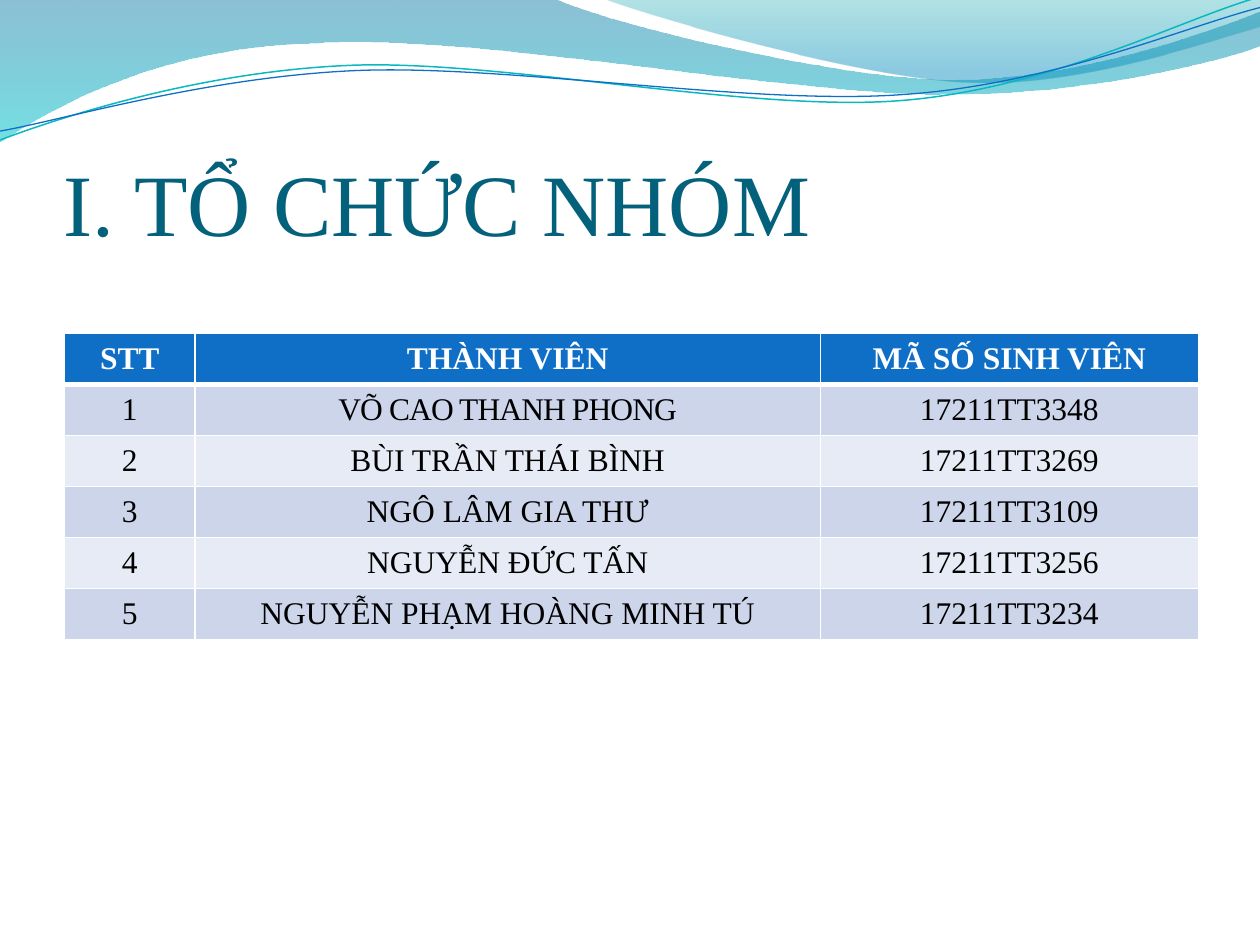
import lxml.etree
import pptx
import pptx.dml.color
import pptx.enum.text
import pptx.oxml.ns
import pptx.util

Pt = pptx.util.Pt
qn = pptx.oxml.ns.qn

FONT = "Times New Roman"

# Each outline is a start point and its steps: one point makes a straight
# line, three points make a Bézier curve.
WIDE_WAVE = (0, 0), [
    [(317, -0.7)],
    [(343, 12.2), (478, 45.4), (546, 45.4)],
    [(614, 45.4), (690, 18.7), (720, 6.5)],
    [(720.7, 25.9)],
    [(708, 31.7), (626, 54.7), (537, 54)],
    [(448, 54), (275, 20.2), (185, 24.5)],
    [(93, 25.9), (33, 59.8), (-0.7, 81.4)],
    [(0, 0)],
]
RIGHT_WAVE = (345, -0.7), [
    [(366.5, 8), (491, 44.6), (553.7, 46.8)],
    [(616.3, 49.7), (692, 23), (720, 15.1)],
    [(720, 0)],
    [(345, -0.7)],
]
TEAL_CURVE = (0, 80), [
    [(34.6, 67), (113.8, 41), (199.4, 37.4)],
    [(284.4, 33.8), (427, 64.1), (513.4, 57.6)],
    [(599.8, 51.1), (675.4, 10.8), (718.6, -1.4)],
]
BLUE_CURVE = (0, 74.9), [
    [(33.8, 69.1), (118.1, 43.9), (203.8, 40.3)],
    [(290.2, 36.7), (429.8, 60.5), (516.2, 54)],
    [(601.9, 48.2), (677.5, 15.1), (720, 4.3)],
]

HEADINGS = ["STT", "THÀNH VIÊN", "MÃ SỐ SINH VIÊN"]
MEMBERS = [
    ("VÕ CAO THANH PHONG", "17211TT3348"),
    ("BÙI TRẦN THÁI BÌNH", "17211TT3269"),
    ("NGÔ LÂM GIA THƯ", "17211TT3109"),
    ("NGUYỄN ĐỨC TẤN", "17211TT3256"),
    ("NGUYỄN PHẠM HOÀNG MINH TÚ", "17211TT3234"),
]
COLUMN_WIDTHS = [74.7, 357.3, 216]
ROW_HEIGHT = 29.2


def rgb(color):
    return pptx.dml.color.RGBColor.from_string(color)


def bend_lines(shape, steps):
    """Turn the three lines of each curved step into one Bézier curve."""
    lines = iter(list(shape._element.iter(qn("a:lnTo"))))
    for step in steps:
        step_lines = [next(lines) for _ in step]
        if len(step) == 1:
            continue
        curve = lxml.etree.Element(qn("a:cubicBezTo"))
        step_lines[0].addprevious(curve)
        for line in step_lines:
            curve.append(line[0])
            line.getparent().remove(line)


def add_outline(slide, outline, close):
    (start_x, start_y), steps = outline
    builder = slide.shapes.build_freeform(Pt(start_x), Pt(start_y))
    points = [(Pt(x), Pt(y)) for step in steps for x, y in step]
    builder.add_line_segments(points, close=close)
    shape = builder.convert_to_shape()
    shape.shadow.inherit = False
    bend_lines(shape, steps)
    return shape


def add_wave(slide, outline, stops):
    """Add a filled wave; stops hold position, colour and opacity in percent."""
    shape = add_outline(slide, outline, close=True)
    shape.line.fill.background()
    shape.fill.gradient()
    shape.fill.gradient_angle = 270
    for gradient_stop, (position, color, opacity) in zip(shape.fill.gradient_stops, stops):
        gradient_stop.position = position
        gradient_stop.color.rgb = rgb(color)
    for element, stop in zip(shape._element.iter(qn("a:srgbClr")), stops):
        lxml.etree.SubElement(element, qn("a:alpha"), val=str(stop[2] * 1000))


def add_curve(slide, outline, color, width):
    shape = add_outline(slide, outline, close=False)
    shape.fill.background()
    shape.line.color.rgb = rgb(color)
    shape.line.width = Pt(width)


def add_run(paragraph, text, size, color, bold=False):
    run = paragraph.add_run()
    run.text = text
    run.font.name = FONT
    run.font.size = Pt(size)
    run.font.bold = bold
    run.font.color.rgb = rgb(color)
    return run


def add_title(slide, text):
    shape = slide.shapes.add_textbox(Pt(36.2), Pt(55), Pt(648), Pt(90))
    frame = shape.text_frame
    frame.word_wrap = True
    frame.vertical_anchor = pptx.enum.text.MSO_ANCHOR.BOTTOM
    frame.margin_left = frame.margin_right = frame.margin_bottom = 0
    frame.margin_top = Pt(3.6)
    add_run(frame.paragraphs[0], text, 50, "04617B")


def set_borders(cell, color, top, bottom):
    properties = cell._tc.get_or_add_tcPr()
    for side, width in (("L", 1), ("R", 1), ("T", top), ("B", bottom)):
        line = lxml.etree.SubElement(properties, qn(f"a:ln{side}"), w=str(Pt(width)))
        fill = lxml.etree.SubElement(line, qn("a:solidFill"))
        lxml.etree.SubElement(fill, qn("a:srgbClr"), val=color)


def fill_cell(cell, text, row_index):
    is_header = row_index == 0
    set_borders(cell, "FFFFFF", top=3 if row_index == 1 else 1, bottom=3 if is_header else 1)
    cell.fill.solid()
    band = "CCD5EA" if row_index % 2 else "E7EBF5"
    cell.fill.fore_color.rgb = rgb("0F6FC6" if is_header else band)
    cell.vertical_anchor = pptx.enum.text.MSO_ANCHOR.MIDDLE
    paragraph = cell.text_frame.paragraphs[0]
    paragraph.alignment = pptx.enum.text.PP_ALIGN.CENTER
    return add_run(paragraph, text, 18, "FFFFFF" if is_header else "000000", is_header)


def add_member_table(slide):
    rows = [HEADINGS] + [(str(number), *member) for number, member in enumerate(MEMBERS, 1)]
    table = slide.shapes.add_table(
        len(rows), len(HEADINGS), Pt(36.8), Pt(190.4),
        Pt(sum(COLUMN_WIDTHS)), Pt(ROW_HEIGHT * len(rows)),
    ).table
    table.horz_banding = False
    for column, width in zip(table.columns, COLUMN_WIDTHS):
        column.width = Pt(width)
    for row_index, texts in enumerate(rows):
        table.rows[row_index].height = Pt(ROW_HEIGHT)
        for column_index, text in enumerate(texts):
            cell = table.cell(row_index, column_index)
            run = fill_cell(cell, text, row_index)
            if (row_index, column_index) == (1, 1):
                run._r.get_or_add_rPr().set("spc", "-50")
                cell.margin_left = cell.margin_right = Pt(5)
                cell.margin_top = cell.margin_bottom = 0


def main():
    presentation = pptx.Presentation()
    presentation.slide_width = Pt(720)
    presentation.slide_height = Pt(540)
    slide = presentation.slides.add_slide(presentation.slide_layouts[6])
    add_wave(slide, WIDE_WAVE, [(0, "0074A1", 45), (1, "00C6CF", 55)])
    add_wave(slide, RIGHT_WAVE, [(0, "00A1A9", 30), (0.8, "008BBF", 45)])
    add_curve(slide, TEAL_CURVE, "0AB8BF", 0.85)
    add_curve(slide, BLUE_CURVE, "0F6FC6", 0.75)
    add_title(slide, "I. TỔ CHỨC NHÓM")
    add_member_table(slide)
    presentation.save("out.pptx")


if __name__ == "__main__":
    main()
